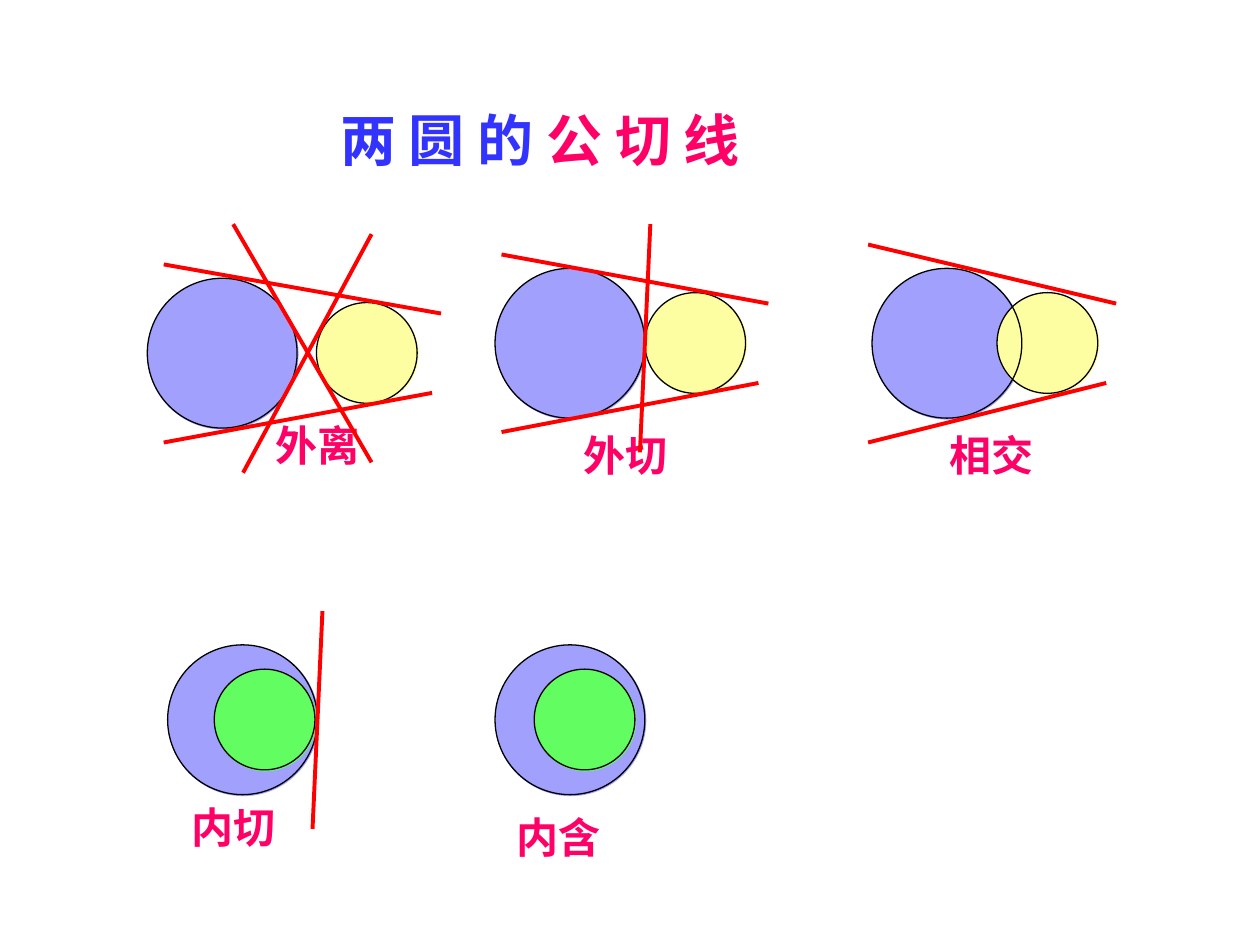
from pptx import Presentation
from pptx.dml.color import RGBColor
from pptx.enum.shapes import MSO_CONNECTOR, MSO_SHAPE
from pptx.enum.text import MSO_ANCHOR, MSO_AUTO_SIZE, PP_ALIGN
from pptx.oxml.ns import qn
from pptx.util import Cm, Pt
from lxml import etree

OVAL = MSO_SHAPE.OVAL
STRAIGHT = MSO_CONNECTOR.STRAIGHT
TOP = MSO_ANCHOR.TOP
LEFT = PP_ALIGN.LEFT
NO_FIT = MSO_AUTO_SIZE.NONE
TITLE_ONLY = 5

COLORS = {
    "blue": "A1A1FD", "yellow": "FDFDA1", "green": "61FD61",
    "edge": "010101", "red": "FF0000", "pink": "FF0066", "ink": "3333FF",
}
BIG, SMALL = 3.05, 2.06  # diameters in cm
TRIM = 0.03              # an outline is this much smaller than its disc
DROP = 0.49              # small circle's top below the big one's

# Big circle left and top, small circle left, small colour
PAIRS = [
    (2.97, 5.61, 6.38, "yellow"),
    (9.98, 5.41, 13.00, "yellow"),
    (17.58, 5.41, 20.10, "yellow"),
    (3.38, 13.00, 4.32, "green"),
    (9.98, 13.00, 10.77, "green"),
]
LABELS = [
    ("外离", 5.31, 8.33, "Arial"),
    ("外切", 11.51, 8.53, "Times New Roman"),
    ("相交", 18.90, 8.53, "Times New Roman"),
    ("内切", 3.61, 16.03, "Times New Roman"),
    ("内含", 10.16, 16.23, "Times New Roman"),
]
# Start and end of each common tangent
TANGENTS = [
    (3.30, 5.33, 8.89, 6.32), (3.30, 8.92, 8.71, 7.92),
    (4.70, 4.52, 7.49, 9.32), (4.90, 9.53, 7.49, 4.72),
    (10.11, 5.13, 15.49, 6.12), (10.11, 8.71, 15.29, 7.72),
    (13.11, 4.52, 12.90, 9.12),
    (17.50, 4.93, 22.50, 6.12), (17.50, 8.92, 22.30, 7.72),
    (6.50, 12.32, 6.30, 16.71),
]


def color(name):
    return RGBColor.from_string(COLORS[name])


class Board:
    """Holds the style and the current slide."""

    def __init__(self, slide):
        self.slide = slide
        self.shapes = slide.shapes

    def oval(self, x, y, size):
        shape = self.shapes.add_shape(OVAL, Cm(x), Cm(y), Cm(size), Cm(size))
        shape.shadow.inherit = False
        return shape

    def disc(self, x, y, size, fill):
        shape = self.oval(x, y, size)
        shape.fill.solid()
        shape.fill.fore_color.rgb = color(fill)
        shape.line.fill.background()

    def ring(self, x, y, size):
        shape = self.oval(x, y, size - TRIM)
        shape.fill.background()
        shape.line.color.rgb = color("edge")
        shape.line.width = 0

    def pair(self, x, y, inner, fill):
        low = y + DROP
        self.disc(x, y, BIG, "blue")
        self.disc(inner, low, SMALL, fill)
        self.ring(x, y, BIG)
        self.ring(inner, low, SMALL)

    def line(self, *ends):
        line = self.shapes.add_connector(STRAIGHT, *map(Cm, ends))
        line.line.color.rgb = color("red")
        line.line.width = Pt(2.25)
        etree.SubElement(line.element.spPr, qn("a:effectLst"))

    def style(self, frame, size, face):
        frame.word_wrap = True
        frame.auto_size = NO_FIT
        frame.vertical_anchor = TOP
        para = frame.paragraphs[0]
        para.alignment = LEFT
        para.font.size = Pt(size)
        para.font.bold = True
        para.font.name = face
        return para

    def label(self, text, x, y, face):
        box = self.shapes.add_textbox(Cm(x), Cm(y), Cm(2.34), Cm(1.27))
        para = self.style(box.text_frame, 24, face)
        para.font.color.rgb = color("pink")
        para.add_run().text = text

    def title(self, parts):
        box = self.shapes.title
        box.left, box.top = Cm(6.6), Cm(2)
        box.width, box.height = Cm(12.2), Cm(1.62)
        para = self.style(box.text_frame, 32, "Arial")
        for text, tint in parts:
            run = para.add_run()
            run.text = text
            run.font.color.rgb = color(tint)


def main():
    deck = Presentation()
    deck.slide_width, deck.slide_height = Cm(25.4), Cm(19.05)
    board = Board(deck.slides.add_slide(deck.slide_layouts[TITLE_ONLY]))

    # Title
    board.title([("两 圆 的 ", "ink"), ("公 切 线", "pink")])

    # Circles, their names and the tangents on top
    for pair in PAIRS:
        board.pair(*pair)
    for label in LABELS:
        board.label(*label)
    for ends in TANGENTS:
        board.line(*ends)

    deck.save("out.pptx")


if __name__ == "__main__":
    main()
